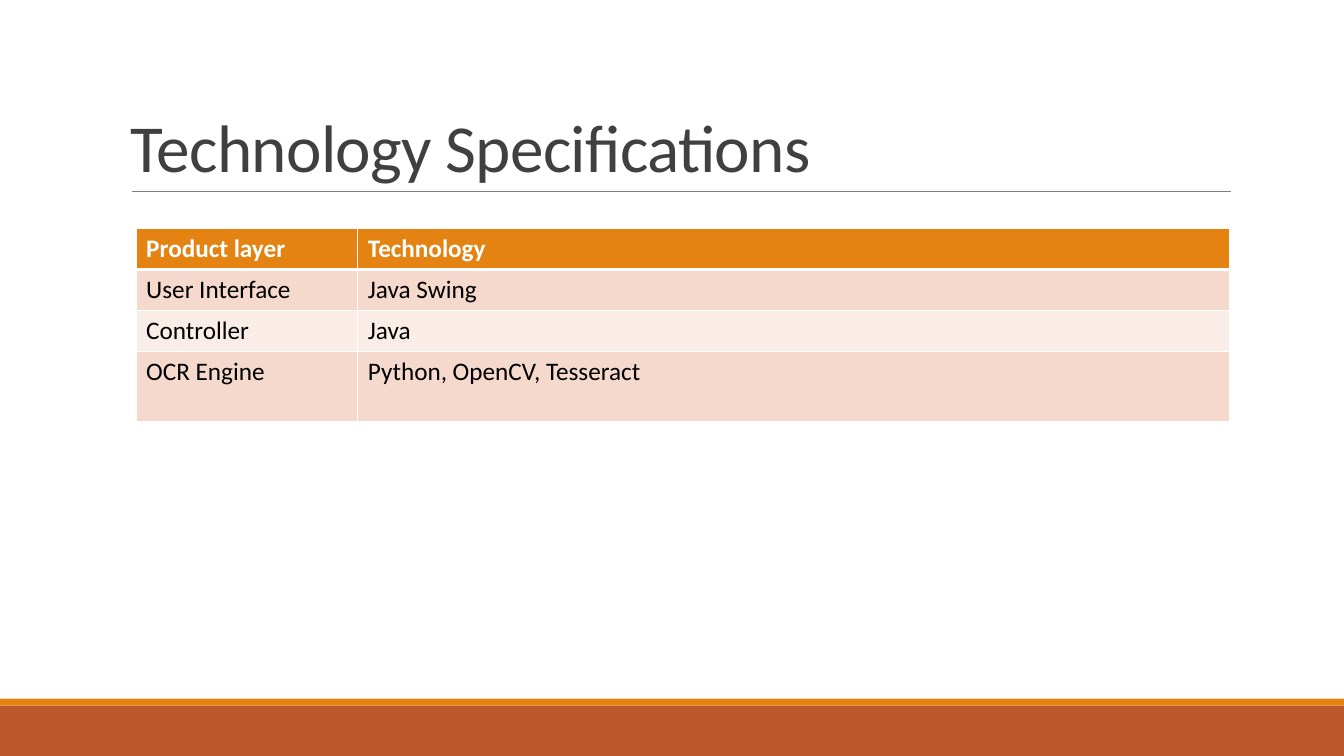
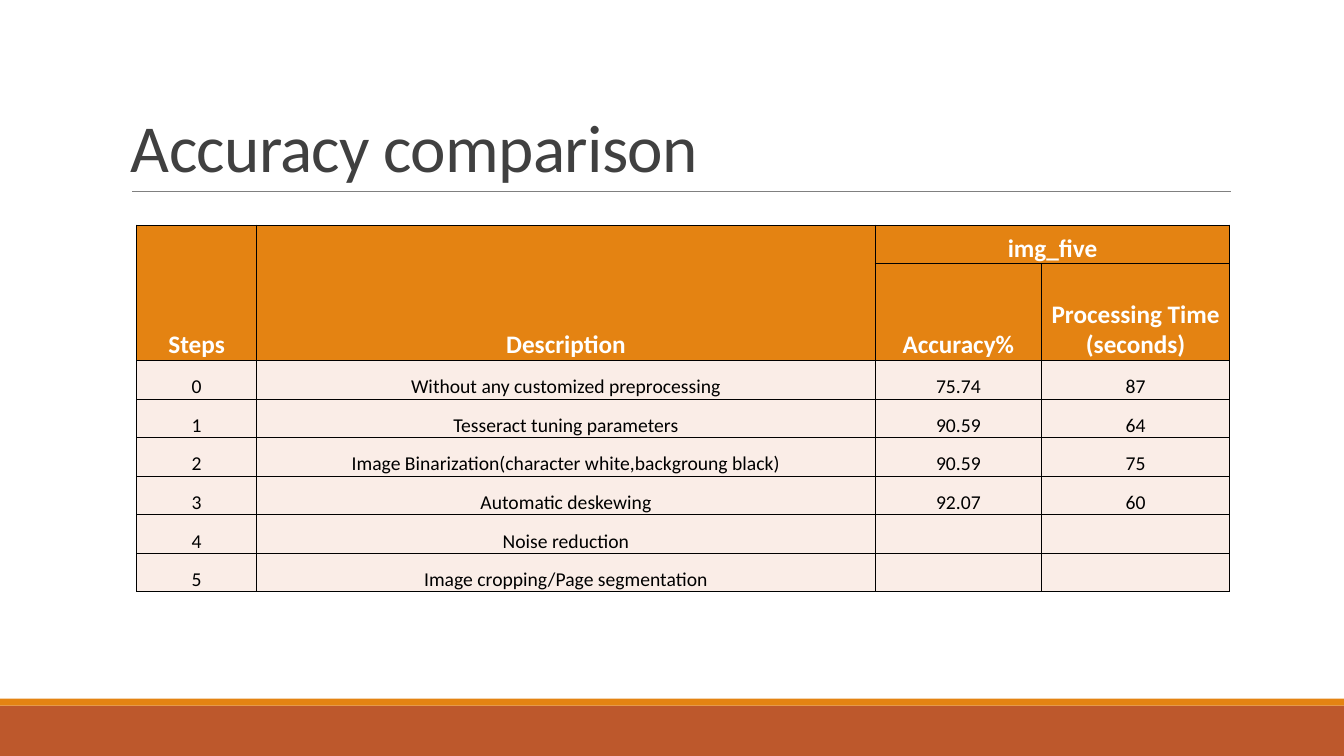
from pptx import Presentation as Deck
from pptx.dml.color import RGBColor as Rgb
from pptx.enum.shapes import MSO_CONNECTOR as Link, MSO_SHAPE as Shape
from pptx.enum.text import MSO_ANCHOR as Anchor, PP_ALIGN as Align
from pptx.oxml import parse_xml as to_xml
from pptx.oxml.ns import nsdecls as spaces
from pptx.util import Inches, Pt

COLORS = {
    "rust": "BD582C", "orange": "E48312", "grey": "808080", "title": "404040",
    "rose": "F5D9CC", "pale": "FAEDE7", "white": "FFFFFF", "black": "000000",
}
FONT = "Calibri"


def tint(name):
    return Rgb.from_string(COLORS[name])


class Pen:
    """Holds the style and the current slide; lengths are percents of its size."""

    def __init__(self):
        self.deck = Deck()
        self.deck.slide_width = Inches(13.33)
        self.deck.slide_height = Inches(7.5)

    def wide(self, share):
        return round(self.deck.slide_width * share / 100)

    def high(self, share):
        return round(self.deck.slide_height * share / 100)

    def box(self, x, y, w, h):
        return self.wide(x), self.high(y), self.wide(w), self.high(h)

    # Slide frame: bands, rule and title
    def slide(self, title):
        self.page = self.deck.slides.add_slide(self.deck.slide_layouts[6]).shapes
        self.band(93.33, 6.67, "rust")
        self.band(92.4, 0.93, "orange")
        self.rule(9.83, 91.58, 25.33)
        self.title(title)

    def band(self, y, h, color):
        band = self.page.add_shape(Shape.RECTANGLE, *self.box(0, y, 100, h))
        band.shadow.inherit = False
        band.fill.solid()
        band.fill.fore_color.rgb = tint(color)
        band.line.fill.background()

    def rule(self, left, right, y):
        rule = self.page.add_connector(
            Link.STRAIGHT, self.wide(left), self.high(y), self.wide(right), self.high(y))
        rule.line.color.rgb = tint("grey")
        rule.line.width = Pt(0.5)
        rule._element.spPr.append(to_xml(f"<a:effectLst {spaces('a')}/>"))

    def title(self, text):
        frame = self.page.add_textbox(*self.box(9, 4.13, 82.5, 21.2)).text_frame
        frame.word_wrap = True
        frame.vertical_anchor = Anchor.BOTTOM
        para = frame.paragraphs[0]
        para.line_spacing = 0.85
        run = self.run(para, text, 48, "title")
        run.font._element.set("spc", "-50")

    # Text
    def run(self, para, text, size, color, bold=False):
        run = para.add_run()
        run.text = text
        font = run.font
        font.name, font.size, font.bold = FONT, Pt(size), bold
        font.color.rgb = tint(color)
        return run

    # Tables
    def table(self, x, y, cols, rows):
        frame = self.page.add_table(
            len(rows), len(cols), *self.box(x, y, sum(cols), sum(rows)))
        table = frame.table
        table.first_row = table.horz_banding = False
        for col, w in zip(table.columns, cols):
            col.width = self.wide(w)
        for row, h in zip(table.rows, rows):
            row.height = self.high(h)
        return table

    def cell(self, cell, text, fill, size, color, bold=False, tight=False):
        cell.fill.solid()
        cell.fill.fore_color.rgb = tint(fill)
        para = cell.text_frame.paragraphs[0]
        if tight:
            cell.margin_left = cell.margin_right = cell.margin_top = Inches(0.01)
            cell.margin_bottom = 0
            cell.vertical_anchor = Anchor.BOTTOM
            para.alignment = Align.CENTER
        for i, line in enumerate(text.split("\n") if text else []):
            if i:
                para.add_line_break()
            self.run(para, line, size, color, bold)

    def edges(self, cell, color, top=1, base=1):
        props = cell._tc.get_or_add_tcPr()
        for i, (side, width) in enumerate(zip("LRTB", (1, 1, top, base))):
            props.insert(i, to_xml(
                f'<a:ln{side} {spaces("a")} w="{Pt(width)}"><a:solidFill>'
                f'<a:srgbClr val="{COLORS[color]}"/></a:solidFill></a:ln{side}>'))

    def save(self):
        self.deck.save("out.pptx")


pen = Pen()

# Technology table
pen.slide("Technology Specifications")
layers = [
    ("Product layer", "Technology"),
    ("User Interface", "Java Swing"),
    ("Controller", "Java"),
    ("OCR Engine", "Python, OpenCV, Tesseract"),
]
table = pen.table(10.13, 30.27, [16.5, 64.88], [5.4] * 3 + [9.33])
for r, line in enumerate(layers):
    head = r == 0
    fill = "orange" if head else ("pale", "rose")[r % 2]
    for c, text in enumerate(line):
        cell = table.cell(r, c)
        pen.cell(cell, text, fill, 18, "white" if head else "black", head)
        pen.edges(cell, "white", 3 if r == 1 else 1, 3 if head else 1)

# Accuracy table
pen.slide("Accuracy comparison")
steps = [
    ("Steps", "Description", "img_five", ""),
    ("", "", "Accuracy%", "Processing Time\n(seconds)"),
    ("0", "Without any customized preprocessing", "75.74", "87"),
    ("1", "Tesseract tuning parameters", "90.59", "64"),
    ("2", "Image Binarization(character white,backgroung black)", "90.59", "75"),
    ("3", "Automatic deskewing", "92.07", "60"),
    ("4", "Noise reduction", "", ""),
    ("5", "Image cropping/Page segmentation", "", ""),
]
table = pen.table(10.17, 29.8, [8.93, 46.03, 12.37, 14.01], [5.1, 12.8] + [5.1] * 6)
for first, last in (((0, 0), (1, 0)), ((0, 1), (1, 1)), ((0, 2), (0, 3))):
    table.cell(*first).merge(table.cell(*last))
for r, line in enumerate(steps):
    style = ("orange", 18, "white", True) if r < 2 else ("pale", 14, "black")
    for c, text in enumerate(line):
        cell = table.cell(r, c)
        pen.cell(cell, text, *style, tight=True)
        pen.edges(cell, "black")

pen.save()
